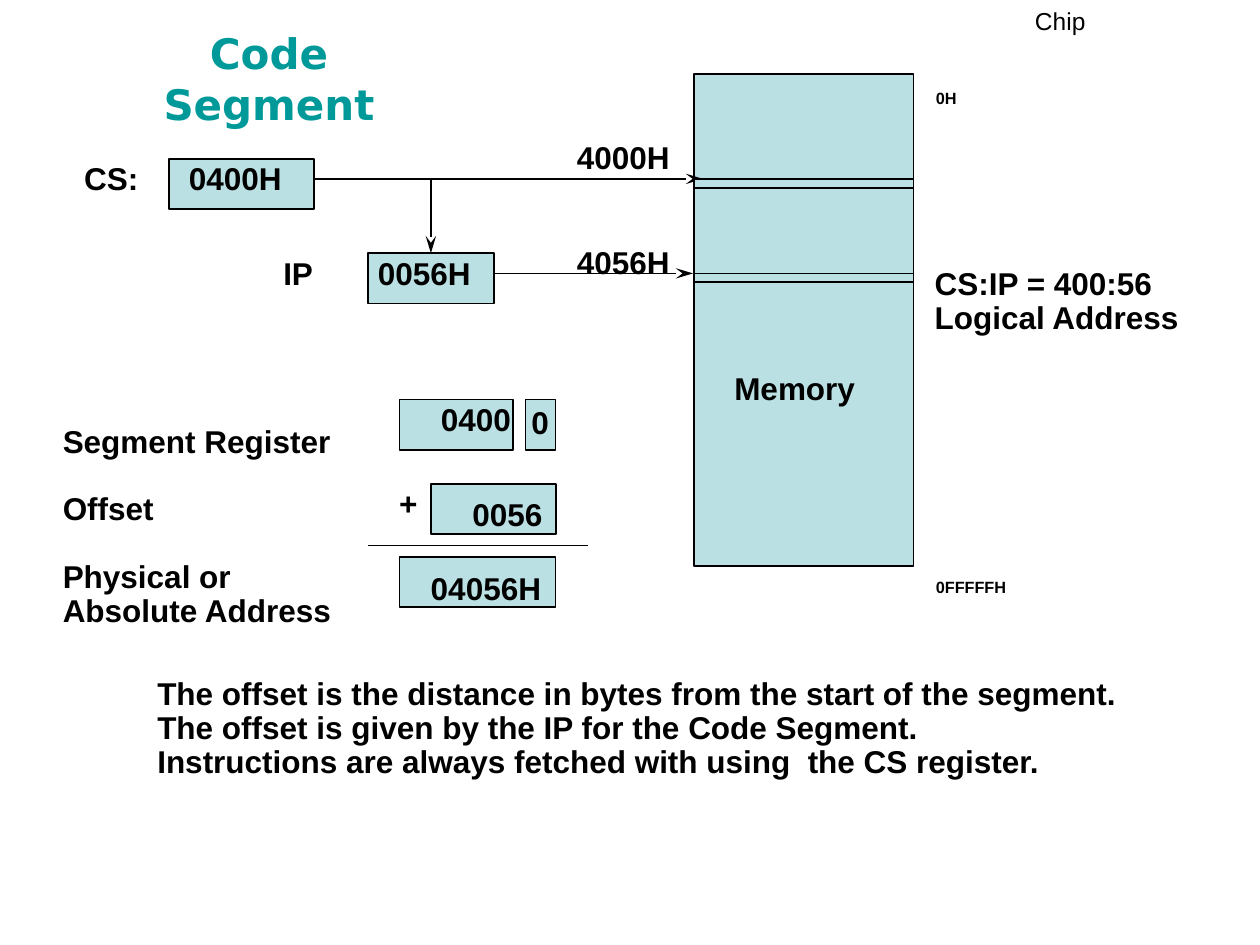
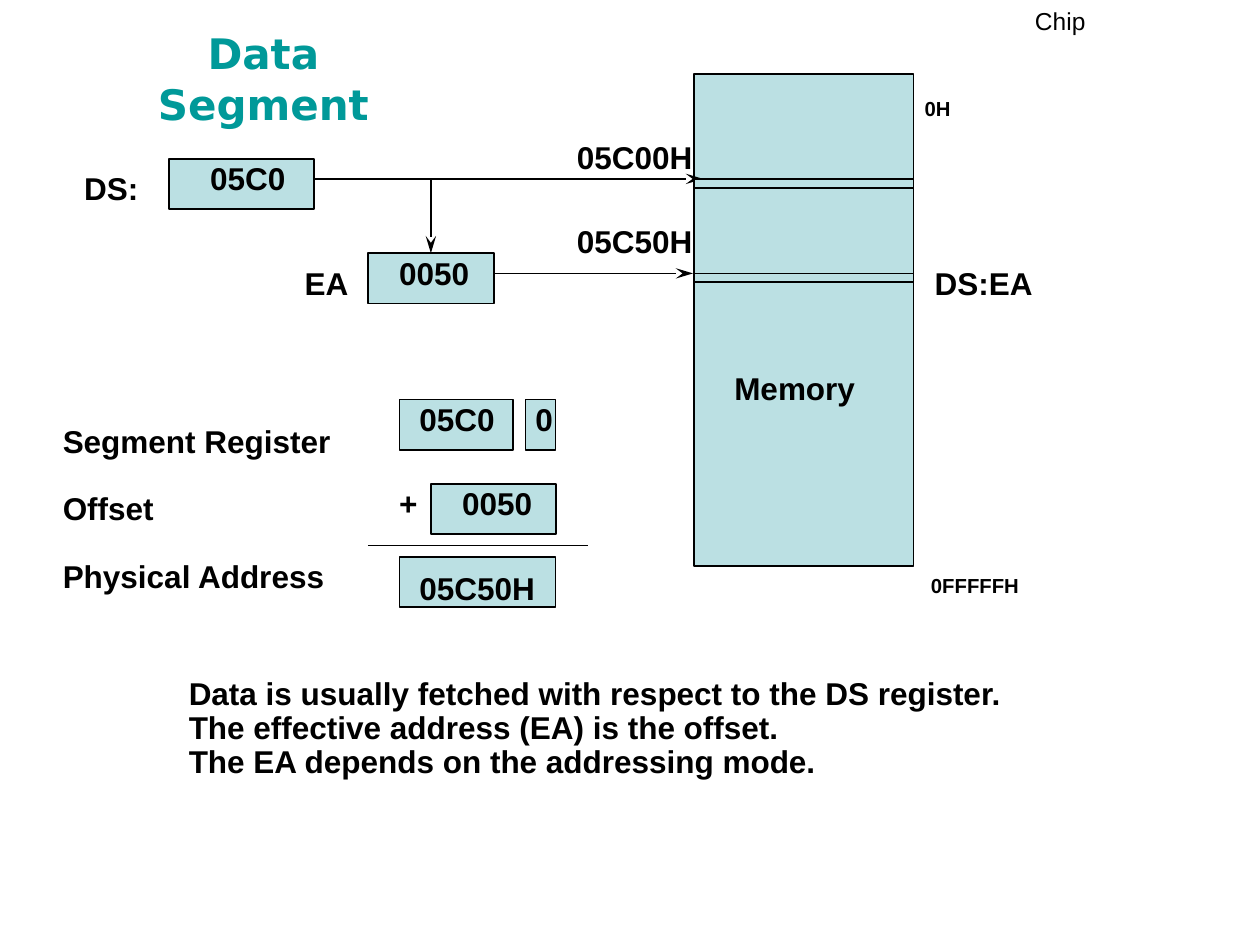
from lxml.etree import SubElement
from pptx import Presentation
from pptx.dml.color import RGBColor
from pptx.enum.shapes import MSO_CONNECTOR, MSO_SHAPE
from pptx.enum.text import MSO_ANCHOR, MSO_AUTO_SIZE as FIT, PP_ALIGN
from pptx.oxml.ns import qn
from pptx.util import Pt

PX = 9144  # 100 px to the inch
BLACK = RGBColor(0, 0, 0)
TEAL = RGBColor(0x00, 0x99, 0x99)
PALE_TEAL = RGBColor(0xBB, 0xE0, 0xE3)
BODY_FONT, TITLE_FONT = "Arial", "DejaVu Sans"
HEADER = "Chip"
BLANK_LINE = 19.4  # points

# Rectangles: left, top, width, height
MEMORY = (551, 59, 174, 390)
SEGMENT_BOX = (134, 126, 115, 40)
OFFSET_BOX = (292, 201, 100, 40)
MEMORY_STRIPS = [(551, top, 174, 7) for top in (142, 217)]
SUM_BOXES = [(317, 317, 90, 40), (417, 317, 24, 40),
             (342, 384, 99, 40), (317, 442, 124, 40)]

# Lines: from x, from y, to x, to y, arrowhead
LINES = [(259, 142, 558, 142, True), (342, 142, 342, 201, True),
         (392, 217, 550, 217, True), (250, 142, 259, 142, False),
         (292, 433, 467, 433, False)]
SEGMENT_TO_OFFSET = LINES[1]

# Labels: left, top, width, lines of text
SHARED_LABELS = [(573, 291, 116, ["Memory"]), (307, 383, 35, ["+"])]

SLIDES = [
    {
        "title": "Code Segment", "title_left": 87, "title_width": 253,
        "sum_rows": ["Segment Register", "Offset", "Physical or"],
        "sum_rest": ["Absolute Address"],
        "labels": [
            (57, 125, 63, ["CS:"]), (215, 200, 44, ["IP"]),
            (140, 125, 94, ["0400H"]), (290, 200, 94, ["0056H"]),
            (448, 108, 94, ["4000H"]), (448, 191, 94, ["4056H"]),
            (340, 316, 76, ["0400"]), (412, 318, 34, ["0"]),
            (365, 391, 76, ["0056"]), (332, 450, 108, ["04056H"]),
            (115, 533, 781, [
                "The offset is the distance in bytes from the start of the segment.",
                "The offset is given by the IP for the Code Segment.",
                "Instructions are always fetched with using  the CS register."]),
            (732, 208, 215, ["CS:IP = 400:56", "Logical Address"]),
        ],
        "limit_size": 16,
        "limits": [(733, 51, 41, ["0H"]), (733, 439, 76, ["0FFFFFH"])],
    },
    {
        "title": "Data Segment", "title_left": 84, "title_width": 250,
        "sum_rows": ["Segment Register", "Offset", "Physical Address"],
        "sum_rest": [],
        "labels": [
            (57, 133, 63, ["DS:"]), (232, 208, 55, ["EA"]),
            (157, 125, 80, ["05C0"]), (307, 200, 76, ["0050"]),
            (448, 108, 112, ["05C00H"]), (448, 175, 112, ["05C50H"]),
            (323, 316, 80, ["05C0"]), (415, 316, 34, ["0"]),
            (357, 383, 76, ["0050"]), (323, 450, 112, ["05C50H"]),
            (140, 533, 666, [
                "Data is usually fetched with respect to the DS register.",
                "The effective address (EA) is the offset.",
                "The EA depends on the addressing mode."]),
            (732, 208, 98, ["DS:EA"]),
        ],
        "limit_size": 20,
        "limits": [(724, 53, 41, ["0H"]), (729, 432, 90, ["0FFFFFH"])],
    },
]


def add_box(page, rect):
    box = page.shapes.add_shape(MSO_SHAPE.RECTANGLE, *[n * PX for n in rect])
    box.shadow.inherit = False
    box.fill.solid()
    box.fill.fore_color.rgb = PALE_TEAL
    box.line.color.rgb = BLACK
    box.line.width = Pt(1)
    return box


def add_label(page, left, top, width, lines, size=18):
    height = 10 + 27 * len(lines)
    label = page.shapes.add_textbox(left * PX, top * PX, width * PX, height * PX)
    frame = label.text_frame
    frame.word_wrap = False
    frame.auto_size = FIT.SHAPE_TO_FIT_TEXT
    frame.text = "\n".join(lines)
    for para in frame.paragraphs:
        para.line_spacing = 0.9
        font = para.font
        font.name, font.size, font.bold = BODY_FONT, Pt(size), True
        font.color.rgb = BLACK
    return frame


deck = Presentation()
deck.slide_width, deck.slide_height = 1000 * PX, 750 * PX
title_only = deck.slide_layouts[5]

for content in SLIDES:
    page = deck.slides.add_slide(title_only)

    title = page.shapes.title
    title.left, title.top = content["title_left"] * PX, 19 * PX
    title.width, title.height = content["title_width"] * PX, 46 * PX
    frame = title.text_frame
    frame.text = content["title"]
    frame.word_wrap = True
    frame.auto_size = FIT.SHAPE_TO_FIT_TEXT
    frame.vertical_anchor = MSO_ANCHOR.TOP
    frame.margin_left = frame.margin_right = 7 * PX
    frame.margin_top = frame.margin_bottom = 3 * PX
    para = frame.paragraphs[0]
    para.alignment = PP_ALIGN.CENTER
    para.font.name, para.font.size, para.font.bold = TITLE_FONT, Pt(24), True
    para.font.color.rgb = TEAL

    header = page.shapes.add_textbox(683 * PX, 0, 317 * PX, 52 * PX)
    header.text_frame.word_wrap = True
    para = header.text_frame.paragraphs[0]
    para.text = HEADER
    para.alignment = PP_ALIGN.CENTER
    para.font.name, para.font.size = BODY_FONT, Pt(14)
    para.font.color.rgb = BLACK

    add_box(page, MEMORY)
    add_box(page, SEGMENT_BOX)
    offset_box = add_box(page, OFFSET_BOX)

    for line in LINES:
        *ends, has_arrow = line
        connector = page.shapes.add_connector(
            MSO_CONNECTOR.STRAIGHT, *[n * PX for n in ends])
        if line == SEGMENT_TO_OFFSET:
            connector.end_connect(offset_box, 0)
        connector.line.color.rgb = BLACK
        connector.line.width = Pt(1)
        properties = connector._element.spPr
        if has_arrow:
            SubElement(properties.find(qn("a:ln")), qn("a:tailEnd"),
                       type="stealth", w="med", len="lg")
        SubElement(properties, qn("a:effectLst"))

    for rect in MEMORY_STRIPS + SUM_BOXES:
        add_box(page, rect)

    sum_rows = content["sum_rows"]
    frame = add_label(page, 40, 333, 234, sum_rows + content["sum_rest"])
    for para in frame.paragraphs[1:len(sum_rows)]:
        para.space_before = Pt(BLANK_LINE)

    for label in SHARED_LABELS + content["labels"]:
        add_label(page, *label)

    for limit in content["limits"]:
        frame = add_label(page, *limit, size=content["limit_size"])
        span = frame.paragraphs[0].runs[0]
        span._r.get_or_add_rPr().set("baseline", "-25000")

deck.save("out.pptx")
